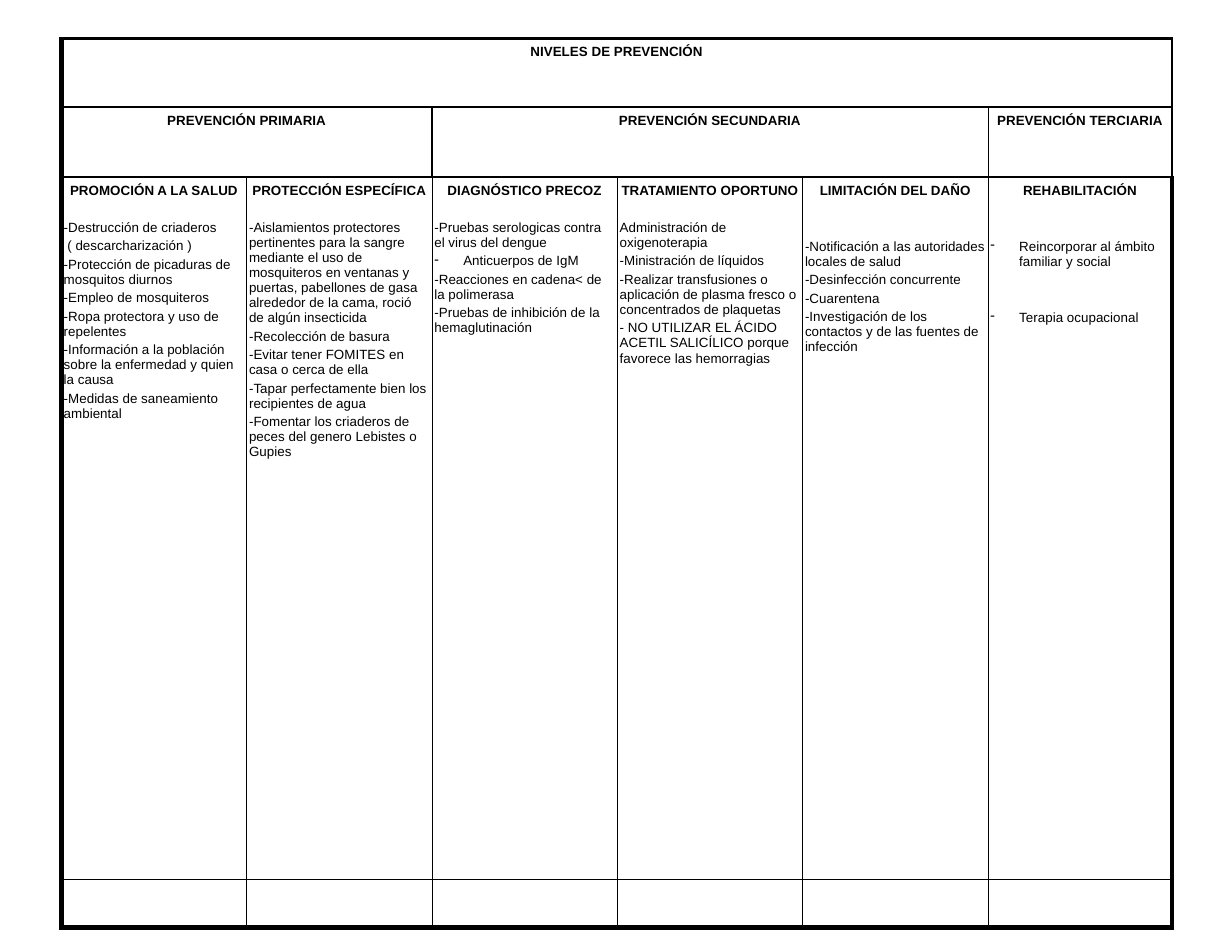
from lxml import etree
from pptx import Presentation
from pptx.dml.color import RGBColor
from pptx.enum.text import PP_ALIGN
from pptx.oxml.ns import qn
from pptx.util import Inches, Pt

LEFT, CENTER = PP_ALIGN.LEFT, PP_ALIGN.CENTER
BLACK = RGBColor(0, 0, 0)
FONT, SIZE = "Arial", 8
GAP, ONE, TWO = 2, 13.2, 24.4
DASH, STEP = 0.24, 0.03
THIN, RULE, SIDE, THICK = 0.45, 1.47, 1.08, 3

TITLE = "NIVELES DE PREVENCIÓN"
LEVELS = [
    ("PREVENCIÓN PRIMARIA", 0, 2),
    ("PREVENCIÓN SECUNDARIA", 2, 3),
    ("PREVENCIÓN TERCIARIA", 5, 1),
]
STAGES = [
    ("PROMOCIÓN A LA SALUD", [
        ("-Destrucción de criaderos", {"before": ONE}),
        ("( descarcharización )", {"indent": STEP}),
        ("-Protección de picaduras de mosquitos diurnos", {}),
        ("-Empleo de mosquiteros", {}),
        ("-Ropa protectora y uso de repelentes", {}),
        ("-Información a la población sobre la enfermedad y quien la causa", {}),
        ("-Medidas de saneamiento ambiental", {}),
    ]),
    ("PROTECCIÓN ESPECÍFICA", [
        ("-Aislamientos protectores pertinentes para la sangre mediante el uso de "
         "mosquiteros en ventanas y puertas, pabellones de gasa alrededor de la cama, "
         "roció de algún insecticida", {"before": ONE}),
        ("-Recolección de basura", {}),
        ("-Evitar tener FOMITES en casa o cerca de ella", {}),
        ("-Tapar perfectamente bien los recipientes de agua", {}),
        ("-Fomentar los criaderos de peces del genero Lebistes o Gupies", {}),
    ]),
    ("DIAGNÓSTICO PRECOZ", [
        ("-Pruebas serologicas contra el virus del dengue", {"before": ONE}),
        ("Anticuerpos de IgM", {"bullet": "-"}),
        ("-Reacciones en cadena< de la polimerasa", {}),
        ("-Pruebas de inhibición de la hemaglutinación", {}),
    ]),
    ("TRATAMIENTO OPORTUNO", [
        ("Administración de oxigenoterapia", {"before": ONE}),
        ("-Ministración de líquidos", {}),
        ("-Realizar transfusiones o aplicación de plasma fresco o concentrados "
         "de plaquetas", {}),
        ("- NO UTILIZAR EL ÁCIDO ACETIL SALICÍLICO porque favorece las hemorragias", {}),
    ]),
    ("LIMITACIÓN DEL DAÑO", [
        ("-Notificación a las autoridades locales de salud", {"before": TWO}),
        ("-Desinfección concurrente", {}),
        ("-Cuarentena", {}),
        ("-Investigación de los contactos y de las fuentes de infección", {}),
    ]),
    ("REHABILITACIÓN", [
        ("Reincorporar al ámbito familiar y social", {"before": TWO, "bullet": "-"}),
        ("Terapia ocupacional", {"before": TWO, "bullet": "-"}),
    ]),
]

WIDE, HIGH = 26 / 2.54, 20 / 2.54
X, Y = 0.51, 0.32
ROWS = [0.57, 0.58, 5.83, 0.16]
COLS = len(STAGES)
WIDTHS = [1.54] * (COLS - 1) + [1.53]
LINES = [RULE, RULE, RULE, THIN, THICK]


def write(cell, text, first=False, bold=False, align=LEFT, before=GAP, indent=0, bullet=None):
    frame = cell.text_frame
    para = frame.paragraphs[0] if first else frame.add_paragraph()
    props = para._p.get_or_add_pPr()
    if bullet:
        props.set("marL", str(Inches(DASH)))
        props.set("indent", str(-Inches(DASH)))
        etree.SubElement(props, qn("a:buChar")).set("char", bullet)
    elif indent:
        props.set("marL", str(Inches(indent)))
        props.set("indent", "0")
    para.alignment = align
    para.space_before = Pt(0 if first else before)
    run = para.add_run()
    run.text = text
    font = run.font
    font.name, font.size, font.bold = FONT, Pt(SIZE), bold
    font.color.rgb = BLACK


def head(cell, text):
    write(cell, text, first=True, bold=True, align=CENTER)


def weight(row, edge):
    if edge == 0:
        return THICK
    if edge == COLS:
        return SIDE if row < 2 else THICK
    return RULE if (row, edge) == (1, 2) else THIN


def border(cell, row, col):
    end = col + (cell.span_width if cell.is_merge_origin else 1)
    sides = {"L": weight(row, col), "R": weight(row, end),
             "T": LINES[row], "B": LINES[row + 1]}
    props = cell._tc.get_or_add_tcPr()
    for side, width in sides.items():
        line = etree.SubElement(props, qn("a:ln" + side))
        line.set("w", str(Pt(width)))
        fill = etree.SubElement(line, qn("a:solidFill"))
        etree.SubElement(fill, qn("a:srgbClr")).set("val", str(BLACK))


def main():
    deck = Presentation()
    deck.slide_width, deck.slide_height = Inches(WIDE), Inches(HIGH)
    slide = deck.slides.add_slide(deck.slide_layouts[6])
    table = slide.shapes.add_table(len(ROWS), COLS, Inches(X), Inches(Y),
                                   Inches(sum(WIDTHS)), Inches(sum(ROWS))).table
    table.first_row = table.horz_banding = False
    for col, width in zip(table.columns, WIDTHS):
        col.width = Inches(width)
    for row, height in zip(table.rows, ROWS):
        row.height = Inches(height)

    table.cell(0, 0).merge(table.cell(0, COLS - 1))
    head(table.cell(0, 0), TITLE)
    for name, start, span in LEVELS:
        cell = table.cell(1, start)
        if span > 1:
            cell.merge(table.cell(1, start + span - 1))
        head(cell, name)
    for col, (name, items) in enumerate(STAGES):
        cell = table.cell(2, col)
        head(cell, name)
        for text, style in items:
            write(cell, text, **style)

    for row in range(len(ROWS)):
        for col in range(COLS):
            cell = table.cell(row, col)
            cell.margin_left = cell.margin_right = Inches(0.02)
            cell.margin_top = cell.margin_bottom = Inches(0.05)
            border(cell, row, col)
            cell.fill.background()
    deck.save("out.pptx")


if __name__ == "__main__":
    main()
